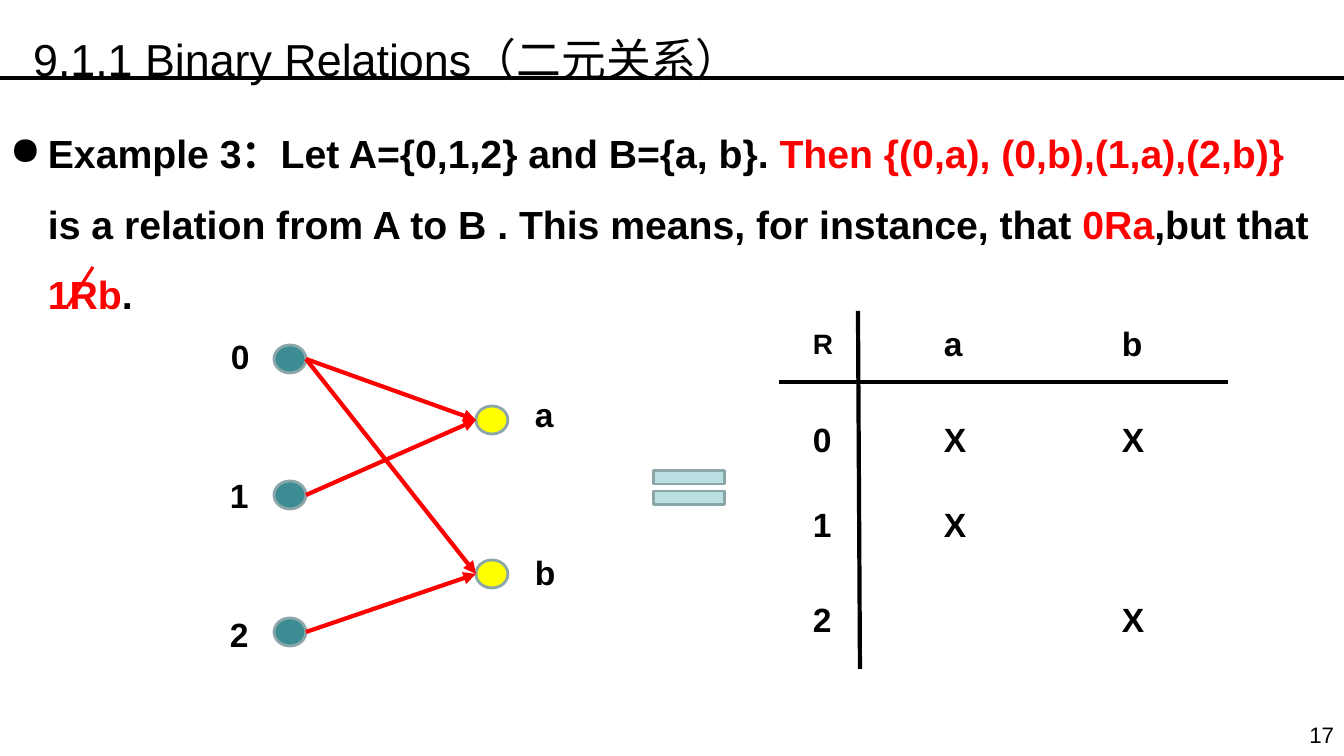
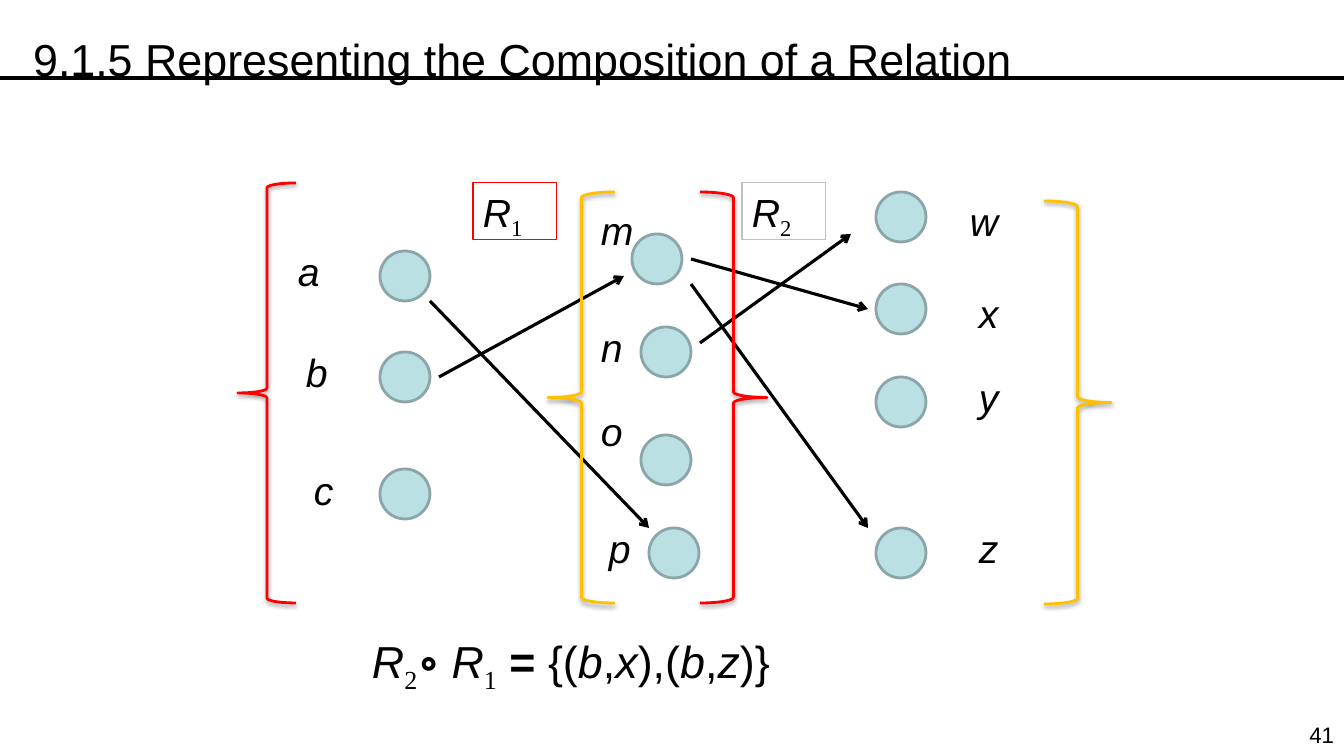
import pptx
import pptx.dml.color
import pptx.enum.shapes
import pptx.enum.text
import pptx.oxml
import pptx.oxml.ns
import pptx.util

PX = 914400 / 100.8
WIDTH, HEIGHT = 1344, 756
BLACK, RED, GOLD, GREY = "000000", "FF0000", "FFC000", "C0C0C0"
TEAL, YELLOW, PALE, RIM = "3C8C93", "FFFF00", "BBE0E3", "8AA6A8"
SANS, SERIF = "Arial", "Times New Roman"
SHAPE = pptx.enum.shapes.MSO_SHAPE
ALIGN = pptx.enum.text.PP_ALIGN
TITLE_ONLY = 5

ITALIC = {"italic": True}
BOLD = {"bold": True}
SUB = {"name": SERIF, "baseline": -25000}


def emu(*lengths):
    return [pptx.util.Emu(round(n * PX)) for n in lengths]


def rgb(value):
    return pptx.dml.color.RGBColor.from_string(value)


def xml(tag, **attrs):
    el = pptx.oxml.parse_xml(f"<{tag} {pptx.oxml.ns.nsdecls('a')}/>")
    for name, value in attrs.items():
        el.set(name, str(value))
    return el


def fill_frame(tf, runs, size, align=ALIGN.LEFT, spacing=None, grow=True):
    """Write one paragraph of (text, format) runs at the top of the frame."""
    fit = pptx.enum.text.MSO_AUTO_SIZE
    frame_format = {
        "word_wrap": True,
        "vertical_anchor": pptx.enum.text.MSO_ANCHOR.TOP,
        "auto_size": fit.SHAPE_TO_FIT_TEXT if grow else fit.NONE,
    }
    for name, value in frame_format.items():
        setattr(tf, name, value)
    p = tf.paragraphs[0]
    p.alignment, p.line_spacing = align, spacing
    for text, extra in runs:
        r = p.add_run()
        r.text = text
        values = {"name": SANS, "size": pptx.util.Pt(size), "bold": False,
                  "italic": False, "color": BLACK, **extra}
        r.font.color.rgb = rgb(values.pop("color"))
        baseline = values.pop("baseline", None)
        if baseline:
            r._r.get_or_add_rPr().set("baseline", str(baseline))
        for name, value in values.items():
            setattr(r.font, name, value)
    return p


def add_text(s, box, runs, size, **options):
    sp = s.shapes.add_textbox(*emu(*box))
    fill_frame(sp.text_frame, runs, size, **options)
    return sp


def add_shape(s, kind, box, fill=None, line=RIM):
    sp = s.shapes.add_shape(kind, *emu(*box))
    sp.shadow.inherit = False
    if fill:
        sp.fill.solid()
        sp.fill.fore_color.rgb = rgb(fill)
    else:
        sp.fill.background()
    sp.line.color.rgb = rgb(line)
    sp.line.width = pptx.util.Pt(2)
    return sp


def add_line(s, ends, color=BLACK, width=2.25, head=None):
    line = s.shapes.add_connector(
        pptx.enum.shapes.MSO_CONNECTOR.STRAIGHT, *emu(*ends))
    line.line.color.rgb = rgb(color)
    line.line.width = pptx.util.Pt(width)
    if head:
        line.line._get_or_add_ln().append(xml("a:tailEnd", type=head))
    line._element.spPr.append(xml("a:effectLst"))
    return line


def add_brace(s, kind, box, color):
    sp = add_shape(s, kind, box, line=color)
    shadow = xml("a:outerShdw", blurRad=40000, dist=20000, dir=5400000,
                 rotWithShape=0)
    tint = xml("a:srgbClr", val=BLACK)
    tint.append(xml("a:alpha", val=38000))
    shadow.append(tint)
    effects = sp._element.spPr.find(pptx.oxml.ns.qn("a:effectLst"))
    effects.append(shadow)


def new_slide(prs, title, number):
    s = prs.slides.add_slide(prs.slide_layouts[TITLE_ONLY])
    sp = s.shapes.title
    sp.left, sp.top, sp.width, sp.height = emu(23, 0, 1219, 82)
    fill_frame(sp.text_frame, [(title, {})], 32, spacing=1.5)
    add_text(s, (1280, 716, 64, 37), [(number, {})], 16, align=ALIGN.RIGHT)
    return s


def add_title_rule(prs, s):
    """Draw the rule under the title and move it to the shared layout."""
    rule = add_line(s, (0, 78, WIDTH, 78))
    prs.slide_layouts[TITLE_ONLY].shapes._spTree.append(rule._element)


def draw_example(s, x, y):
    parts = [
        ("Example 3：Let A={0,1,2} and B={a, b}. ", BLACK),
        ("Then {(0,a), (0,b),(1,a),(2,b)} ", RED),
        ("is a relation from A to B . This means, for instance, that ", BLACK),
        ("0Ra", RED), (",but that ", BLACK), ("1Rb", RED), (".", BLACK)]
    sp = s.shapes.add_textbox(*emu(x, y, 1322, 594))
    pPr = sp.text_frame.paragraphs[0]._p.get_or_add_pPr()
    indent = emu(38)[0]
    pPr.set("marL", str(indent))
    pPr.set("indent", str(-indent))
    pPr.append(xml("a:buChar", char="●"))
    runs = [(text, {"color": color, **BOLD}) for text, color in parts]
    fill_frame(sp.text_frame, runs, 28, spacing=1.5, grow=False)
    add_line(s, (x + 93, y + 166, x + 68, y + 205), RED)


def draw_digraph(s, x, y):
    w, h = 32, 28
    # name: node x, node y, label x, label y, fill
    nodes = {"0": (54, 14, 1, 0, TEAL), "1": (54, 150, 0, 139, TEAL),
             "2": (54, 287, 0, 278, TEAL), "a": (256, 75, 305, 58, YELLOW),
             "b": (256, 229, 305, 216, YELLOW)}
    for name, (nx, ny, lx, ly, fill) in nodes.items():
        add_shape(s, SHAPE.OVAL, (x + nx, y + ny, w, h), fill)
        add_text(s, (x + lx, y + ly, 31, 50), [(name, BOLD)], 24)
    for start, end in ("0a", "1a", "2b", "0b"):
        (x1, y1), (x2, y2) = nodes[start][:2], nodes[end][:2]
        add_line(s, (x + x1 + w, y + y1 + h / 2, x + x2, y + y2 + h / 2),
                 RED, 3, "triangle")


def draw_relation_grid(s, x, y):
    add_line(s, (x, y + 71, x + 449, y + 71), width=3)
    add_line(s, (x + 79, y, x + 81, y + 358), width=3)
    columns, rows = (24, 155, 333), (7, 103, 188, 283)
    marks = ["Rab", "0XX", "1X ", "2 X"]
    for top, row in zip(rows, marks):
        for left, mark in zip(columns, row):
            if mark == "R":
                add_text(s, (x + left, y + 11, 52, 44), [(mark, BOLD)], 20)
            elif mark != " ":
                add_text(s, (x + left, y + top, 31, 50), [(mark, BOLD)], 24)


def draw_composition(s, x, y):
    # name: node x, node y, label x, label y
    nodes = {
        "a": (150, 71, 58, 62), "b": (150, 172, 66, 163),
        "c": (150, 289, 74, 281),
        "m": (402, 54, 361, 21), "n": (411, 147, 361, 138),
        "o": (411, 255, 361, 222), "p": (419, 348, 369, 339),
        "w": (646, 12, 730, 12), "x": (646, 104, 739, 104),
        "y": (646, 197, 739, 188), "z": (646, 348, 739, 339)}
    for name, (nx, ny, lx, ly) in nodes.items():
        add_shape(s, SHAPE.OVAL, (x + nx, y + ny, 50, 50), PALE)
        add_text(s, (x + lx, y + ly, 42, 57), [(name, ITALIC)], 28)

    for left, index, color in ((243, "1", RED), (512, "2", GREY)):
        sp = add_text(s, (x + left, y + 3, 84, 57),
                      [("R", ITALIC), (index, SUB)], 28)
        sp.line.color.rgb = rgb(color)
        sp.line.width = pptx.util.Pt(0.75)

    arrows = [(209, 197, 394, 96), (200, 121, 419, 348), (470, 163, 621, 54),
              (461, 79, 638, 129), (461, 104, 638, 348)]
    for x1, y1, x2, y2 in arrows:
        add_line(s, (x + x1, y + y1, x + x2, y + y2), head="arrow")

    braces = [(SHAPE.RIGHT_BRACE, 470, 12, 67, 411, RED),
              (SHAPE.LEFT_BRACE, 8, 3, 58, 420, RED),
              (SHAPE.RIGHT_BRACE, 584 + 230, 21, 67, 403, GOLD),
              (SHAPE.LEFT_BRACE, 318, 12, 67, 411, GOLD)]
    for kind, left, top, w, h, color in braces:
        add_brace(s, kind, (x + left, y + top, w, h), color)


def draw_formula(s, x, y):
    runs = [("R", ITALIC), ("2", SUB), ("∘ ", {"name": SERIF, **BOLD}),
            ("R", ITALIC), ("1", SUB), (" = ", BOLD), ("{(", {}),
            ("b", ITALIC), (",", {}), ("x", ITALIC), ("),(", {}),
            ("b", ITALIC), (",", {}), ("z", ITALIC), (")}", {})]
    add_text(s, (x, y, 521, 65), runs, 32)


def main():
    prs = pptx.Presentation()
    prs.slide_width, prs.slide_height = emu(WIDTH, HEIGHT)

    s = new_slide(prs, "9.1.1 Binary Relations（二元关系）", "17")
    add_title_rule(prs, s)
    draw_example(s, 0, 101)
    draw_digraph(s, 220, 331)
    draw_relation_grid(s, 779, 311)
    add_shape(s, SHAPE.MATH_EQUAL, (641, 458, 96, 59), PALE)

    s = new_slide(
        prs, "9.1.5 Representing the Composition of a Relation", "41")
    draw_composition(s, 230, 180)
    draw_formula(s, 362, 629)

    prs.save("out.pptx")


if __name__ == "__main__":
    main()
